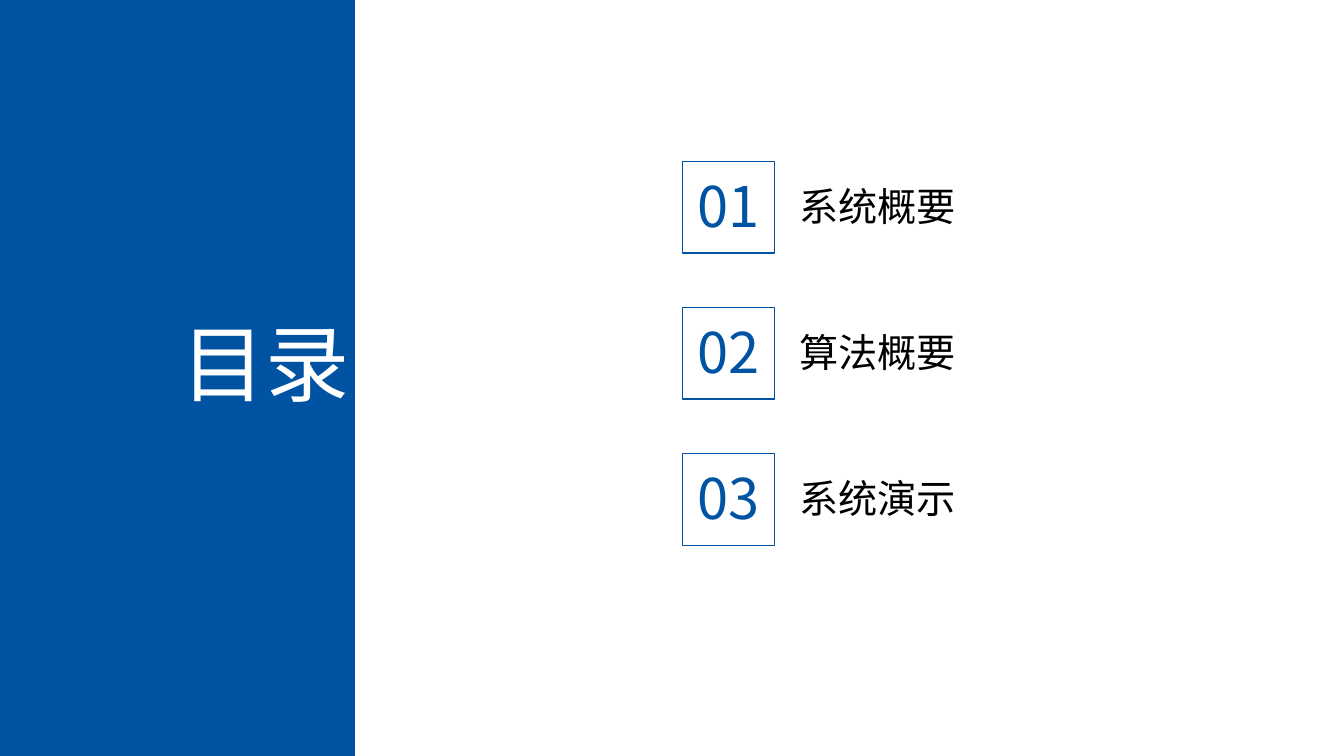
from lxml.etree import SubElement
from pptx import Presentation
from pptx.dml.color import RGBColor
from pptx.enum.shapes import MSO_SHAPE
from pptx.enum.text import MSO_ANCHOR, MSO_AUTO_SIZE, PP_ALIGN
from pptx.oxml.ns import qn
from pptx.util import Inches, Pt

TITLE = "目录"
SECTIONS = ["系统概要", "算法概要", "系统演示"]
FONT = "Noto Sans CJK SC"
COLORS = {"blue": "0053A3", "white": "FFFFFF", "black": "000000"}

PANEL_W, SLIDE_H = 3.52, 7.5
BOX_LEFT, BOX_TOP, BOX_SIZE = 6.77, 1.6, 0.91
LABEL_LEFT, LABEL_W = 7.88, 2.62
PITCH = 1.45


def color(name):
    return RGBColor.from_string(COLORS[name])


def place(shape, left, top, width, height):
    shape.left, shape.top = Inches(left), Inches(top)
    shape.width, shape.height = Inches(width), Inches(height)


def write(shape, text, size, color_name, align):
    tf = shape.text_frame
    tf.word_wrap = True
    tf.auto_size = MSO_AUTO_SIZE.NONE
    tf.vertical_anchor = MSO_ANCHOR.TOP
    tf.margin_left = tf.margin_right = Inches(0.05)
    tf.margin_top = tf.margin_bottom = Inches(0.05)
    p = tf.paragraphs[0]
    p.alignment = align
    r = p.add_run()
    r.text = text
    r.font.size = Pt(size)
    r.font.name = FONT
    r.font.color.rgb = color(color_name)
    SubElement(r._r.get_or_add_rPr(), qn("a:ea"), typeface=FONT)


def add_rect(shapes, left, top, width, height):
    rect = shapes.add_shape(MSO_SHAPE.RECTANGLE, Inches(left), Inches(top),
                            Inches(width), Inches(height))
    rect.shadow.inherit = False
    return rect


def add_text(shapes, left, top, width, height, *style):
    box = shapes.add_textbox(Inches(left), Inches(top), Inches(width), Inches(height))
    write(box, *style)


def add_section(s, index, label):
    top = BOX_TOP + index * PITCH
    shapes = s.shapes.add_group_shape().shapes
    add_text(shapes, LABEL_LEFT, top + 0.16, LABEL_W, 0.66,
             label, 28, "black", PP_ALIGN.LEFT)
    add_text(shapes, BOX_LEFT, top + 0.05, BOX_SIZE, 0.88,
             f"{index + 1:02d}", 40, "blue", PP_ALIGN.CENTER)
    frame = add_rect(shapes, BOX_LEFT, top, BOX_SIZE, BOX_SIZE)
    frame.fill.background()
    frame.line.color.rgb = color("blue")
    frame.line.width = Pt(1)


def main():
    prs = Presentation()
    prs.slide_width, prs.slide_height = Inches(13.33), Inches(SLIDE_H)
    s = prs.slides.add_slide(prs.slide_layouts[5])

    panel = add_rect(s.shapes, 0, 0, PANEL_W, SLIDE_H)
    panel.fill.solid()
    panel.fill.fore_color.rgb = color("blue")
    panel.line.fill.background()

    title = s.shapes.title
    place(title, 0.98, 3.04, 2.54, 1.27)
    write(title, TITLE, 60, "white", PP_ALIGN.RIGHT)
    title.element.addprevious(panel.element)  # panel goes behind the title

    for index, label in enumerate(SECTIONS):
        add_section(s, index, label)

    prs.save("out.pptx")


if __name__ == "__main__":
    main()
